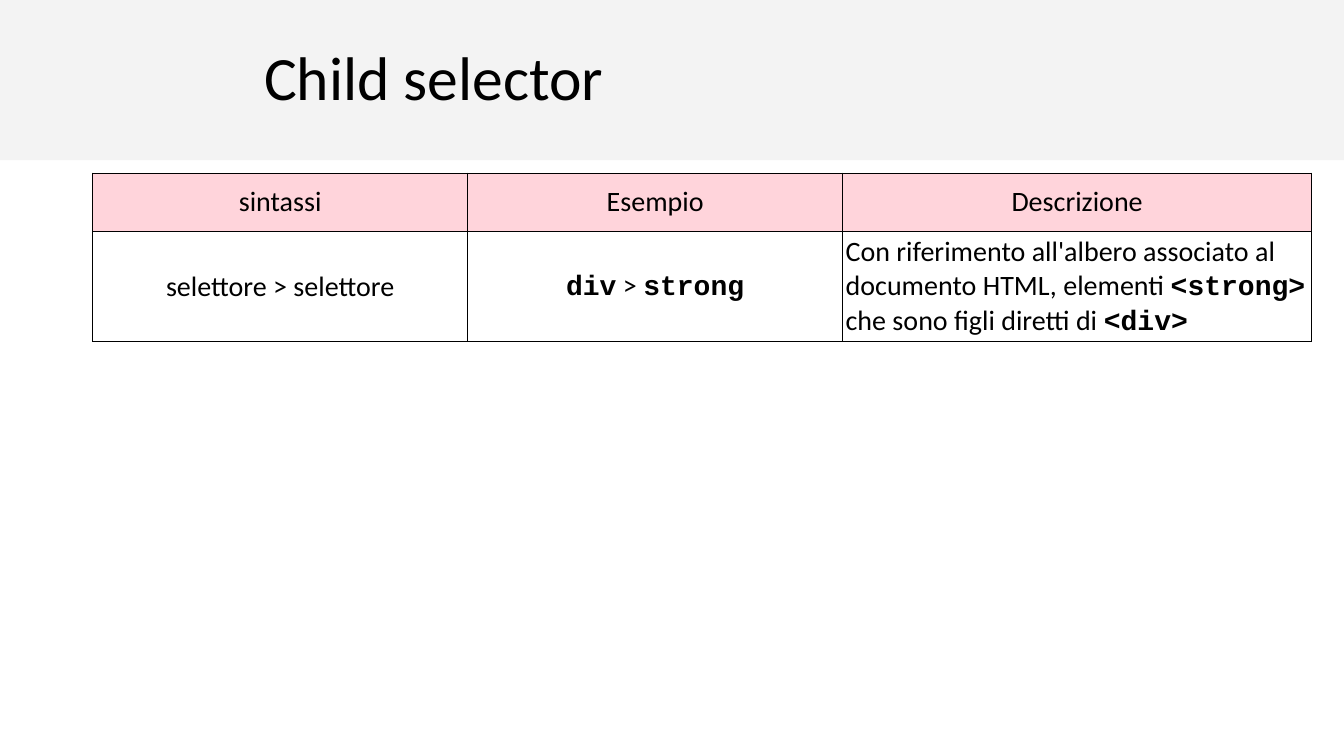
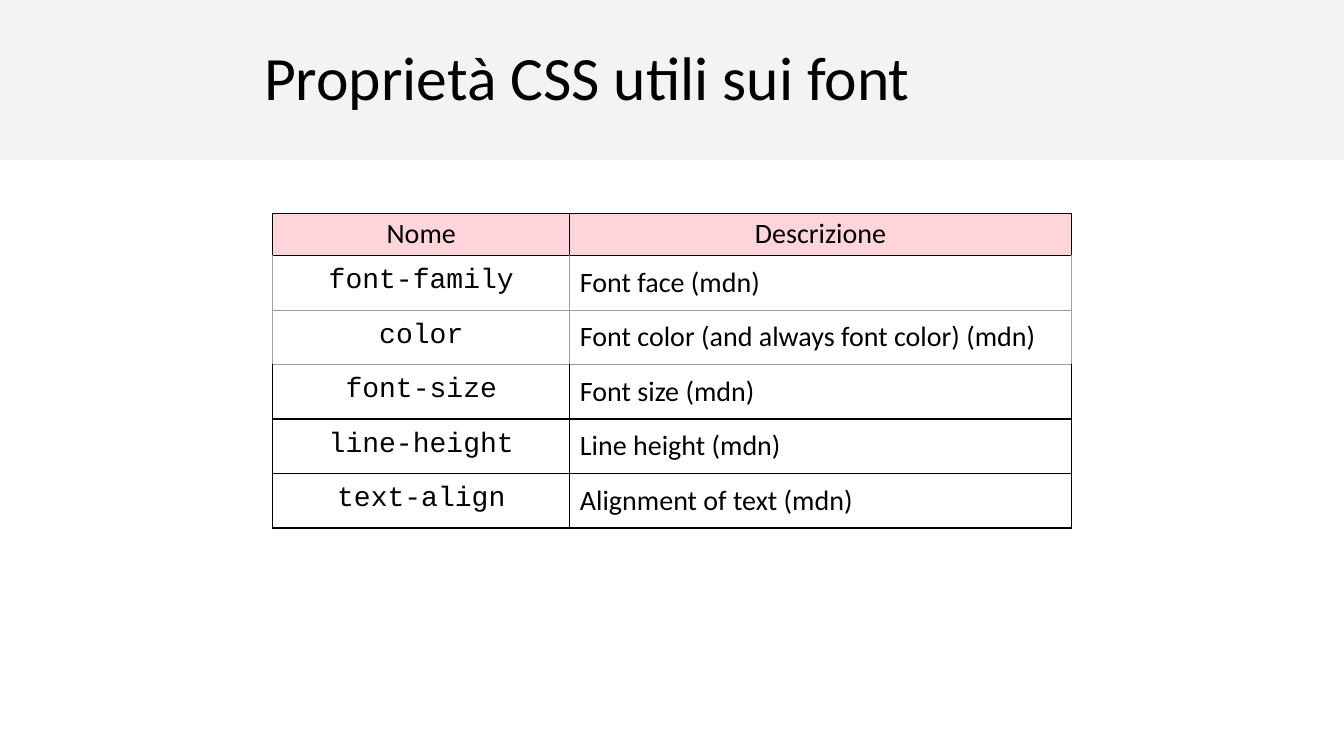
"""Build two slides on CSS: the child selector and the font properties."""
from lxml import etree
from pptx import Presentation
from pptx import util as u
from pptx.dml.color import RGBColor
from pptx.enum import shapes, text
from pptx.oxml.ns import qn

INK, GREY, PINK, PALE, WHITE = "000000", "9E9E9E", "FFC2CC", "F3F3F3", "FFFFFF"
SANS, MONO = "Calibri", "Courier New"
MID, LEFT = text.PP_ALIGN.CENTER, text.PP_ALIGN.LEFT


def paint(fill, tint):
    """Fill with a solid hex colour."""
    fill.solid()
    fill.fore_color.rgb = RGBColor.from_string(tint)


def write(frame, words, size=20, face=SANS, align=LEFT, lead=None):
    """Write one paragraph; words between backticks are bold code."""
    para = frame.paragraphs[0]
    para.alignment = align
    para.line_spacing = lead
    for n, part in enumerate(words.split("`")):
        if part:
            run = para.add_run()
            run.text = part
            code = n % 2 == 1
            run.font.name = MONO if code else face
            run.font.bold = code
            run.font.size = u.Pt(size)
            paint(run.font.fill, INK)


deck = Presentation()
deck.slide_width, deck.slide_height = u.Inches(13.33), u.Inches(7.5)
col, row = deck.slide_width / 100, deck.slide_height / 100
plan = deck.slide_layouts[5]

head = plan.placeholders[0]
head.left, head.top = int(18.9 * col), int(5.1 * row)
head.width, head.height = int(62.2 * col), int(11 * row)

pages = [
    dict(
        title="Child selector", left=6.9, top=22.9,
        cols=[27.9, 27.9, 34.9], rows=[7.7, 14.1], grey=(), face=SANS,
        inset=0.03, anchor=text.MSO_ANCHOR.MIDDLE, edge=0.75,
        cells=[
            ("sintassi", "Esempio", "Descrizione"),
            ("selettore > selettore", "`div` > `strong`",
             "Con riferimento all'albero associato al documento HTML, "
             "elementi `<strong> `che sono figli diretti di `<div>`"),
        ]),
    dict(
        title="Proprietà CSS utili sui font", left=20.3, top=28.2,
        cols=[22.1, 37.3], rows=[5.6] + [7.1] * 5, grey=(1, 2), face=MONO,
        inset=0.1, anchor=text.MSO_ANCHOR.TOP, edge=1,
        cells=[
            ("Nome", "Descrizione"),
            ("font-family", "Font face (mdn)"),
            ("color", "Font color (and always font color) (mdn)"),
            ("font-size", "Font size (mdn)"),
            ("line-height", "Line height (mdn)"),
            ("text-align", "Alignment of text (mdn)"),
        ]),
]

for page in pages:
    slide = deck.slides.add_slide(plan)
    if page is pages[0]:
        band = slide.shapes.add_shape(
            shapes.MSO_SHAPE.RECTANGLE, 0, 0, deck.slide_width, int(21.2 * row))
        band.shadow.inherit = False
        paint(band.fill, PALE)
        band.line.fill.background()
        plan.shapes._spTree.insert(2, band._element)

    frame = slide.shapes.title.text_frame
    frame.auto_size = text.MSO_AUTO_SIZE.NONE
    frame.vertical_anchor = text.MSO_ANCHOR.MIDDLE
    frame.margin_left = frame.margin_right = u.Inches(0.1)
    frame.margin_top = frame.margin_bottom = u.Inches(0.1)
    write(frame, page["title"], size=44, lead=0.9)

    cells, cols, rows = page["cells"], page["cols"], page["rows"]
    grid = slide.shapes.add_table(
        len(rows), len(cols), int(page["left"] * col), int(page["top"] * row),
        int(sum(cols) * col), int(sum(rows) * row)).table
    grid.first_row = grid.horz_banding = False
    for c, wide in enumerate(cols):
        grid.columns[c].width = int(wide * col)
    for r, high in enumerate(rows):
        grid.rows[r].height = int(high * row)
        own = GREY if r in page["grey"] else INK
        over = GREY if r - 1 in page["grey"] else INK
        for c, words in enumerate(cells[r]):
            cell = grid.cell(r, c)
            first, last = r == 0, c == len(cols) - 1
            pad = u.Inches(0.03 if first else page["inset"])
            cell.margin_left = cell.margin_right = pad
            cell.margin_top = cell.margin_bottom = pad
            cell.vertical_anchor = (
                text.MSO_ANCHOR.MIDDLE if first else page["anchor"])
            write(cell.text_frame, words,
                  face=page["face"] if c == 0 and not first else SANS,
                  align=LEFT if last and not first else MID)

            props = cell._tc.get_or_add_tcPr()
            thick = page["edge"] if r > 2 else 0.75
            for side, tint in zip("LRTB", (own, own, over, own)):
                line = etree.SubElement(
                    props, qn("a:ln" + side), w=str(u.Pt(thick)))
                solid = etree.SubElement(line, qn("a:solidFill"))
                etree.SubElement(solid, qn("a:srgbClr"), val=tint)
            if first:
                paint(cell.fill, PINK)
                shade = props.find(qn("a:solidFill"))[0]
                etree.SubElement(shade, qn("a:alpha"), val="70000")
            else:
                paint(cell.fill, WHITE)

deck.save("out.pptx")
